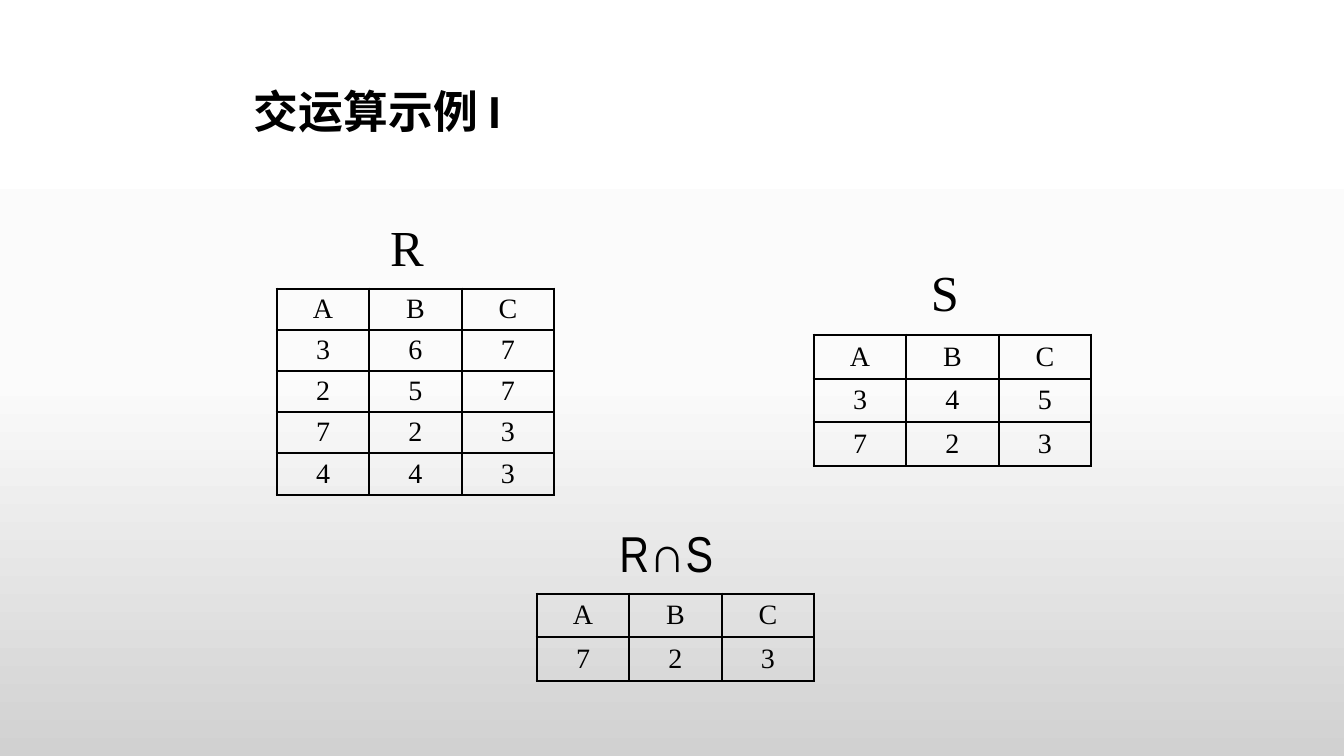
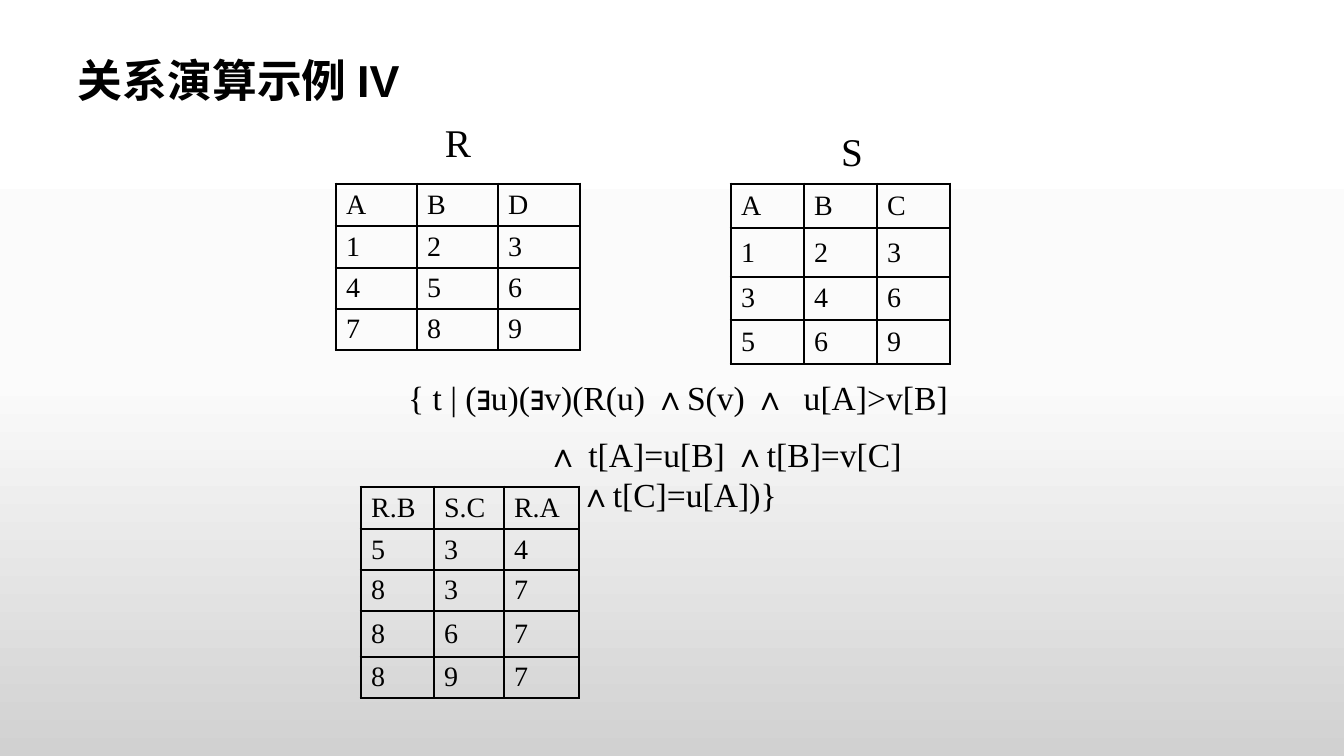
from copy import deepcopy
from dataclasses import dataclass

from pptx import Presentation
from pptx.dml.color import RGBColor
from pptx.enum.text import MSO_ANCHOR, PP_ALIGN
from pptx.oxml import parse_xml
from pptx.oxml.ns import nsdecls, qn
from pptx.util import Pt

PX = 12192000 / 1344  # EMU per px


@dataclass(frozen=True)
class Theme:
    ink: str = "000000"
    backdrop: tuple = ((0, "FFFFFF"), (0.5, "FBFBFB"), (1, "D1D1D1"))
    sans: str = "Arial"
    narrow: str = "Arial Narrow"
    serif: str = "Times New Roman"
    title: int = 32
    label: int = 36
    small_label: int = 28
    formula: int = 24
    cell: int = 20
    outer_line: float = 2.25
    inner_line: float = 1


T = Theme()


def px(*lengths):
    return [round(n * PX) for n in lengths]


def write(tf, text, size=T.cell, font=T.serif, bold=False, align=PP_ALIGN.CENTER,
          anchor=MSO_ANCHOR.TOP, spacing=None, before=0, indent=0, new=False):
    tf.word_wrap = True
    tf.vertical_anchor = anchor
    p = tf.add_paragraph() if new else tf.paragraphs[0]
    p.alignment = align
    if spacing:
        p.line_spacing = spacing
    if before:
        p.space_before = Pt(before)
    if indent:
        p._p.get_or_add_pPr().set("marL", str(px(indent)[0]))
    r = p.add_run()
    r.text = text
    r.font.size, r.font.name, r.font.bold = Pt(size), font, bold
    r.font.color.rgb = RGBColor.from_string(T.ink)


prs = Presentation()
prs.slide_width, prs.slide_height = px(1344, 756)

# Shared background
master = prs.slide_master
fill = master.background.fill
fill.gradient()
fill.gradient_angle = 270
stops = master.element.find(".//" + qn("a:gsLst"))
stops.append(deepcopy(stops[-1]))
for stop, (position, color) in zip(fill.gradient_stops, T.backdrop):
    stop.position = position
    stop.color.rgb = RGBColor.from_string(color)

# Content: labels are (text, box, size, font),
# tables are (left, top, column widths, row heights, rows of text)
THIRDS = (92, 93, 92)
SLIDES = [
    dict(
        title="交运算示例 I", title_at=(244, 67), align=PP_ALIGN.CENTER,
        labels=[("R", (361, 211, 92, 70), T.label, T.serif),
                ("S", (899, 256, 92, 70), T.label, T.serif),
                ("R∩S ", (605, 517, 134, 70), T.label, T.narrow)],
        tables=[(277, 289, THIRDS, (41, 41, 41, 41, 42),
                 ("A B C", "3 6 7", "2 5 7", "7 2 3", "4 4 3")),
                (814, 335, THIRDS, (44, 43, 44), ("A B C", "3 4 5", "7 2 3")),
                (537, 594, THIRDS, (43, 44), ("A B C", "7 2 3"))],
        formula=[]),
    dict(
        title="关系演算示例 IV", title_at=(68, 36), align=PP_ALIGN.LEFT,
        labels=[("R", (420, 113, 76, 57), T.small_label, T.serif),
                ("S", (814, 122, 76, 57), T.small_label, T.serif)],
        tables=[(361, 487, (73, 70, 75), (42, 41, 41, 46, 41),
                 ("R.B S.C R.A", "5 3 4", "8 3 7", "8 6 7", "8 9 7")),
                (336, 184, (81, 81, 82), (42, 42, 41, 41),
                 ("A B D", "1 2 3", "4 5 6", "7 8 9")),
                (731, 184, (73, 73, 73), (44, 49, 43, 44),
                 ("A B C", "1 2 3", "3 4 6", "5 6 9"))],
        formula=[("{ t | (∃u)(∃v)(R(u) ∧S(v) ∧  u[A]>v[B]", 0, 0),
                 ("∧ t[A]=u[B] ∧t[B]=v[C]", 12, 92),
                 ("∧t[C]=u[A])}", 0, 0)]),
]

for page in SLIDES:
    s = prs.slides.add_slide(prs.slide_layouts[6])

    # Title
    sp = s.shapes.add_textbox(*px(*page["title_at"], 857, 93))
    write(sp.text_frame, page["title"], size=T.title, font=T.sans, bold=True,
          align=PP_ALIGN.LEFT, anchor=MSO_ANCHOR.MIDDLE, spacing=0.9)

    # Relations, with a heavy frame and thin inner rules
    for left, top, widths, heights, rows in page["tables"]:
        frame = s.shapes.add_table(len(rows), len(widths),
                                   *px(left, top, sum(widths), sum(heights)))
        table = frame.table
        table.first_row = table.horz_banding = False
        for column, width in zip(table.columns, px(*widths)):
            column.width = width
        for row, height in zip(table.rows, px(*heights)):
            row.height = height
        for i, row in enumerate(rows):
            for j, text in enumerate(row.split()):
                cell = table.cell(i, j)
                cell.margin_top, cell.margin_bottom = px(3, 3)
                cell.vertical_anchor = MSO_ANCHOR.MIDDLE
                write(cell.text_frame, text, align=page["align"],
                      anchor=MSO_ANCHOR.MIDDLE)
                edges = dict(L=j == 0, R=j == len(widths) - 1,
                             T=i == 0, B=i == len(rows) - 1)
                for side, outer in edges.items():
                    weight = Pt(T.outer_line if outer else T.inner_line)
                    cell._tc.get_or_add_tcPr().append(parse_xml(
                        f'<a:ln{side} {nsdecls("a")} w="{weight}"><a:solidFill>'
                        f'<a:srgbClr val="{T.ink}"/></a:solidFill></a:ln{side}>'))
                cell.fill.background()

    # Relation names
    for text, box, size, font in page["labels"]:
        sp = s.shapes.add_textbox(*px(*box))
        write(sp.text_frame, text, size=size, font=font)

    # Calculus expression
    if page["formula"]:
        sp = s.shapes.add_textbox(*px(358, 372, 640, 112))
        for n, (text, before, indent) in enumerate(page["formula"]):
            write(sp.text_frame, text, size=T.formula, before=before,
                  indent=indent, new=n > 0)

prs.save("out.pptx")
